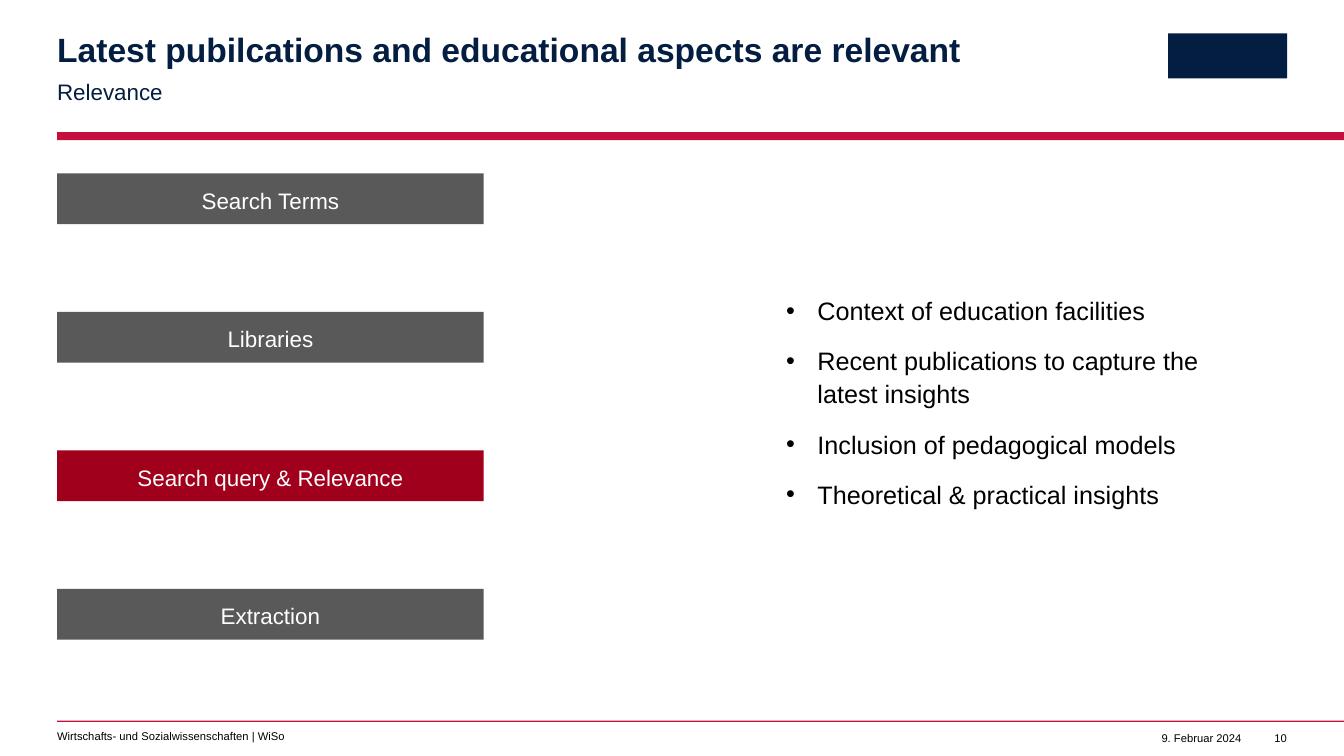
from dataclasses import dataclass

from lxml import etree
from pptx import Presentation
from pptx.dml.color import RGBColor
from pptx.enum.shapes import MSO_SHAPE
from pptx.enum.text import MSO_ANCHOR, MSO_AUTO_SIZE, PP_ALIGN
from pptx.oxml.ns import qn
from pptx.util import Cm, Pt

RECTANGLE = MSO_SHAPE.RECTANGLE
TOP, MIDDLE = MSO_ANCHOR.TOP, MSO_ANCHOR.MIDDLE
LEFT, CENTER, RIGHT = PP_ALIGN.LEFT, PP_ALIGN.CENTER, PP_ALIGN.RIGHT
FIXED_SIZE = MSO_AUTO_SIZE.NONE

COLORS = {
    "navy": "041E42",
    "rule": "C50F3C",
    "active": "A0001B",
    "step": "595959",
    "text": "000000",
    "light": "FFFFFF",
}
FONT = "Arial"
SLIDE_WIDTH, SLIDE_HEIGHT = 33.87, 19.05
MARGIN = 1.44
STEP_TOP, STEP_PITCH = 4.37, 3.49
STEP_WIDTH, STEP_HEIGHT = 10.75, 1.28
BULLET_INDENT = 0.79


@dataclass(frozen=True)
class Area:
    left: float
    top: float
    width: float
    height: float

    def lengths(self) -> tuple:
        return Cm(self.left), Cm(self.top), Cm(self.width), Cm(self.height)


@dataclass(frozen=True)
class Style:
    size: float
    color: str = "text"
    bold: bool = False
    align: PP_ALIGN = LEFT
    line_spacing: float = 1.0
    space_after: float = 0
    bullet: str = ""


@dataclass(frozen=True)
class Bar:
    area: Area
    color: str


@dataclass(frozen=True)
class Note:
    text: str
    area: Area
    align: PP_ALIGN


@dataclass(frozen=True)
class Step:
    text: str
    color: str = "step"


TITLE_STYLE = Style(24, "navy", bold=True, line_spacing=0.9)
SUBTITLE_STYLE = Style(16, "navy", line_spacing=1.1, space_after=12)
LIST_STYLE = Style(18, line_spacing=1.1, space_after=12, bullet="•")
STEP_STYLE = Style(16, "light", align=CENTER, line_spacing=1.1, space_after=12)

BARS = [
    Bar(Area(MARGIN, 3.33, SLIDE_WIDTH - MARGIN, 0.2), "rule"),
    Bar(Area(MARGIN, 18.16, SLIDE_WIDTH - MARGIN, 0.03), "rule"),
    Bar(Area(29.44, 0.84, 3, 1.14), "navy"),
]
NOTES = [
    Note("Wirtschafts- und Sozialwissenschaften | WiSo", Area(MARGIN, 18.39, 15.19, 0.23), LEFT),
    Note("9. Februar 2024", Area(28.93, 18.44, 2.36, 0.33), RIGHT),
    Note("10", Area(31.9, 18.44, 0.53, 0.33), RIGHT),
]
STEPS = [
    Step("Search Terms"),
    Step("Libraries"),
    Step("Search query & Relevance", "active"),
    Step("Extraction"),
]
INSIGHTS = [
    "Context of education facilities",
    "Recent publications to capture the latest insights",
    "Inclusion of pedagogical models",
    "Theoretical & practical insights",
]


def rgb(name: str) -> RGBColor:
    return RGBColor.from_string(COLORS[name])


def set_bullet(para, bullet: str) -> None:
    properties = para._p.get_or_add_pPr()
    indent = Cm(BULLET_INDENT) if bullet else 0
    properties.set("marL", str(indent))
    properties.set("indent", str(-indent))
    if bullet:
        etree.SubElement(properties, qn("a:buFont")).set("typeface", FONT)
        etree.SubElement(properties, qn("a:buChar")).set("char", bullet)
    else:
        etree.SubElement(properties, qn("a:buNone"))


def write(box, lines: list[str], style: Style, insets: tuple = (0, 0, 0, 0), anchor=TOP) -> None:
    frame = box.text_frame
    frame.text = "\n".join(lines)
    frame.word_wrap = True
    frame.auto_size = FIXED_SIZE
    frame.vertical_anchor = anchor
    frame.margin_left, frame.margin_top, frame.margin_right, frame.margin_bottom = map(Cm, insets)
    for para in frame.paragraphs:
        set_bullet(para, style.bullet)
        para.alignment = style.align
        para.line_spacing = style.line_spacing
        para.space_before = Pt(0)
        para.space_after = Pt(style.space_after)
        for span in para.runs:
            span.font.name = FONT
            span.font.size = Pt(style.size)
            span.font.bold = style.bold
            span.font.color.rgb = rgb(style.color)


def place(box, area: Area) -> None:
    box.left, box.top, box.width, box.height = area.lengths()


def add_bar(page, bar: Bar):
    box = page.shapes.add_shape(RECTANGLE, *bar.area.lengths())
    box.shadow.inherit = False
    box.fill.solid()
    box.fill.fore_color.rgb = rgb(bar.color)
    box.line.fill.background()
    return box


def main() -> None:
    deck = Presentation()
    deck.slide_width, deck.slide_height = Cm(SLIDE_WIDTH), Cm(SLIDE_HEIGHT)
    page = deck.slides.add_slide(deck.slide_layouts.get_by_name("Two Content"))
    title, subtitle, insights = page.placeholders

    place(title, Area(MARGIN, 0.84, 25.83, 0.91))
    write(title, ["Latest pubilcations and educational aspects are relevant"], TITLE_STYLE)
    place(subtitle, Area(MARGIN, 1.9, 19.02, 0.69))
    write(subtitle, ["Relevance"], SUBTITLE_STYLE, (0, 0, 1, 0))
    place(insights, Area(19.81, 7.37, 12.62, 7.09))
    write(insights, INSIGHTS, LIST_STYLE, (0, 0, 1, 0))

    for bar in BARS:
        add_bar(page, bar)
    for note in NOTES:
        box = page.shapes.add_textbox(*note.area.lengths())
        write(box, [note.text], Style(8, align=note.align))
    for index, step in enumerate(STEPS):
        area = Area(MARGIN, STEP_TOP + index * STEP_PITCH, STEP_WIDTH, STEP_HEIGHT)
        box = add_bar(page, Bar(area, step.color))
        write(box, [step.text], STEP_STYLE, (0.5, 0.5, 0.5, 0.5), MIDDLE)

    deck.save("out.pptx")


if __name__ == "__main__":
    main()
